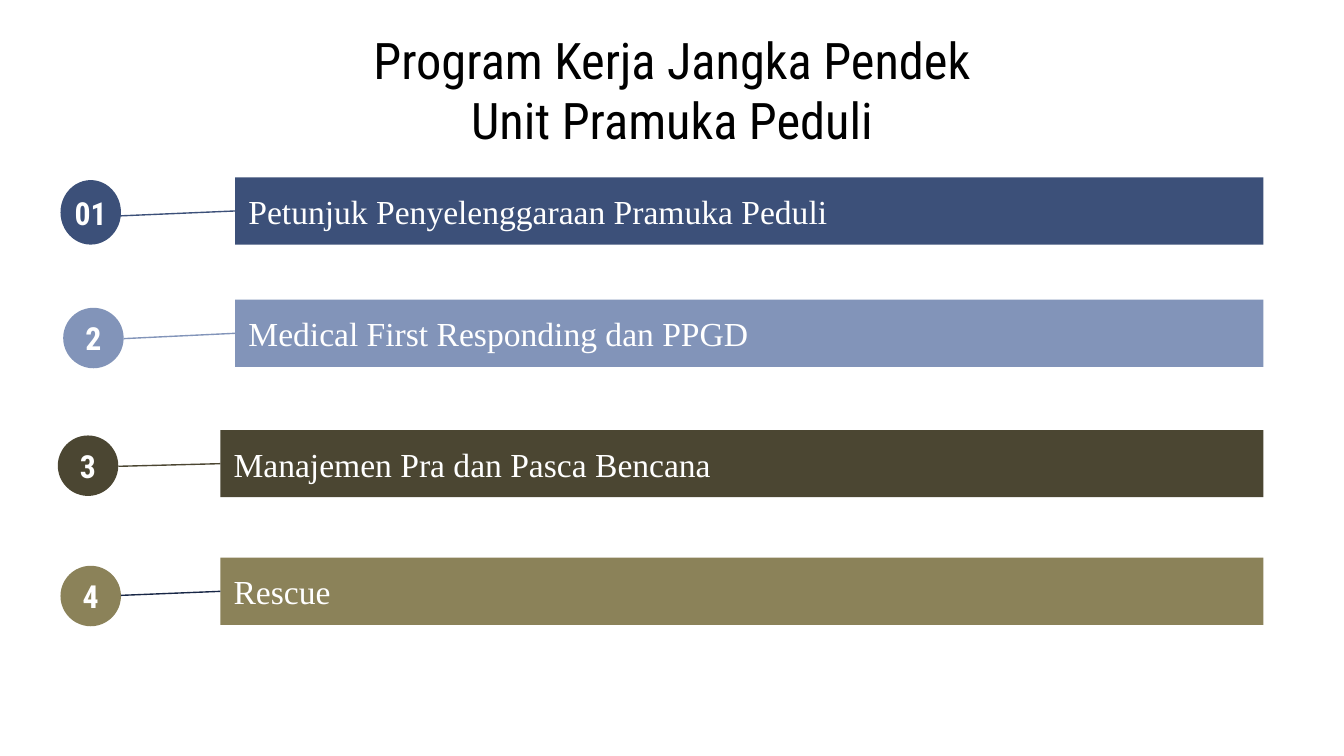
import pptx
import pptx.util
import pptx.dml.color
import pptx.enum.shapes
import pptx.enum.text
import pptx.oxml

Inches = pptx.util.Inches
Shape = pptx.enum.shapes.MSO_SHAPE
Align = pptx.enum.text.PP_ALIGN
Anchor = pptx.enum.text.MSO_ANCHOR

# Content
TITLE = "Program Kerja Jangka Pendek\vUnit Pramuka Peduli"
COLOURS = {"navy": "3C5079", "blue": "8294B9", "brown": "4B4632",
           "olive": "8B8259", "ink": "182746", "white": "FFFFFF", "black": "000000"}
HEADING_FONT, BODY_FONT = "Roboto Condensed", "Times New Roman"

# number, programme, fill, link colour, bar (left, top), badge (left, top, height), link start
PROGRAMMES = [
    ("01", "Petunjuk Penyelenggaraan Pramuka Peduli", "navy", "navy",
     (1.75, 1.32), (0.45, 1.34, 0.48), (0.81, 1.61)),
    ("2", "Medical First Responding dan PPGD", "blue", "blue",
     (1.75, 2.23), (0.47, 2.29, 0.45), (0.92, 2.52)),
    ("3", "Manajemen Pra dan Pasca Bencana", "brown", "brown",
     (1.64, 3.2), (0.43, 3.24, 0.45), (0.88, 3.47)),
    ("4", "Rescue", "olive", "ink",
     (1.64, 4.15), (0.45, 4.21, 0.45), (0.9, 4.43)),
]
SLIDE_WIDTH = 10
BAR_RIGHT, BAR_HEIGHT, BADGE_WIDTH = 9.4, 0.5, 0.45


def rgb(name):
    return pptx.dml.color.RGBColor.from_string(COLOURS[name])


def write(shape, text, *, size, font, colour="white", bold=False,
          align=Align.LEFT, anchor=Anchor.MIDDLE, side=0.1):
    frame = shape.text_frame
    frame.word_wrap = True
    frame.auto_size = pptx.enum.text.MSO_AUTO_SIZE.NONE
    frame.vertical_anchor = anchor
    frame.margin_left = frame.margin_right = Inches(side)
    frame.margin_top = frame.margin_bottom = Inches(0.1)
    frame.text = text
    paragraph = frame.paragraphs[0]
    paragraph.alignment = align
    paragraph.space_before = pptx.util.Pt(0)
    for run in paragraph.runs:
        run.font.size = pptx.util.Pt(size)
        run.font.name = font
        run.font.bold = bold
        run.font.color.rgb = rgb(colour)


def add_filled(slide, kind, left, top, width, height, fill):
    shape = slide.shapes.add_shape(kind, *map(Inches, (left, top, width, height)))
    shape.shadow.inherit = False
    shape.fill.solid()
    shape.fill.fore_color.rgb = rgb(fill)
    shape.line.fill.background()
    return shape


def add_link(slide, start, end, colour):
    link = slide.shapes.add_connector(
        pptx.enum.shapes.MSO_CONNECTOR.STRAIGHT, *map(Inches, (*start, *end)))
    link.line.color.rgb = rgb(colour)
    link.line.width = pptx.util.Pt(0.75)
    link._element.spPr.append(pptx.oxml.parse_xml(
        '<a:effectLst xmlns:a="http://schemas.openxmlformats.org/drawingml/2006/main"/>'))


def main():
    deck = pptx.Presentation()
    deck.slide_width = Inches(SLIDE_WIDTH)
    deck.slide_height = Inches(SLIDE_WIDTH * 9 / 16)
    slide = deck.slides.add_slide(deck.slide_layouts.get_by_name("Title Only"))

    # Title
    title = slide.shapes.title
    title.left, title.top, title.width, title.height = map(Inches, (0.45, 0.39, 9.1, 0.55))
    write(title, TITLE, size=27, font=HEADING_FONT, colour="black", align=Align.CENTER)

    # One bar, numbered badge and link per programme
    for number, programme, fill, link_colour, bar_at, badge_at, link_start in PROGRAMMES:
        left, top = bar_at
        bar = add_filled(slide, Shape.RECTANGLE, left, top, BAR_RIGHT - left, BAR_HEIGHT, fill)
        write(bar, programme, size=18, font=BODY_FONT, anchor=Anchor.TOP)

        badge_left, badge_top, badge_height = badge_at
        badge = add_filled(slide, Shape.OVAL, badge_left, badge_top,
                           BADGE_WIDTH, badge_height, fill)
        write(badge, number, size=17, font=HEADING_FONT, bold=True,
              align=Align.CENTER, side=0)

        add_link(slide, link_start, (left, top + BAR_HEIGHT / 2), link_colour)

    deck.save("out.pptx")


if __name__ == "__main__":
    main()
